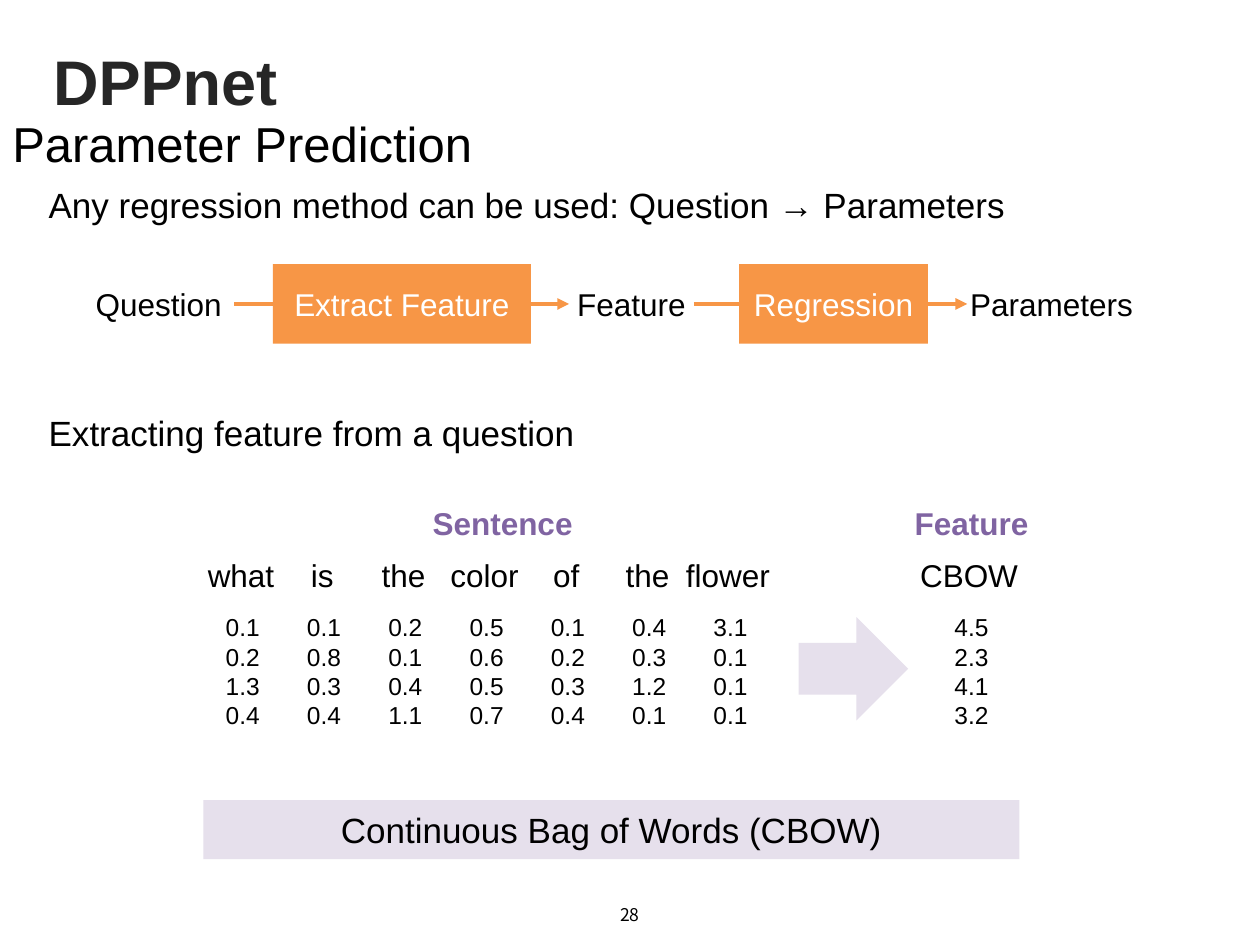
from collections import namedtuple
from dataclasses import dataclass

from lxml.etree import SubElement
from pptx import Presentation
from pptx.dml.color import RGBColor
from pptx.enum.shapes import MSO_CONNECTOR, MSO_SHAPE
from pptx.enum.text import MSO_ANCHOR, MSO_AUTO_SIZE, PP_ALIGN
from pptx.oxml.ns import qn
from pptx.util import Pt

Box = namedtuple("Box", "x y w h")


@dataclass(frozen=True)
class Theme:
    """Colours, fonts and type sizes of the slide."""
    font: str = "Arial"
    number_font: str = "Noto Sans CJK KR"
    ink: str = "000000"
    title_ink: str = "262626"
    white: str = "FFFFFF"
    orange: str = "F79646"
    purple: str = "8064A2"
    lilac: str = "E6E0EC"
    title: int = 36
    subtitle: int = 28
    body: int = 20
    label: int = 18
    value: int = 14
    number: int = 10


T = Theme()
CENTER = PP_ALIGN.CENTER


def write(sp, text, size, color=T.ink, align=PP_ALIGN.LEFT, bold=False,
          font=T.font, anchor=MSO_ANCHOR.MIDDLE):
    """Put formatted text into a shape."""
    tf = sp.text_frame
    tf.text = text
    tf.word_wrap = True
    tf.vertical_anchor = anchor
    for p in tf.paragraphs:
        p.alignment = align
        for r in p.runs:
            r.font.name, r.font.size, r.font.bold = font, Pt(size), bold
            r.font.color.rgb = RGBColor.from_string(color)


def add_text(s, box, text, size, inset=True, **style):
    """Add a text box, with or without insets."""
    sp = s.shapes.add_textbox(*map(Pt, box))
    write(sp, text, size, **style)
    if not inset:
        tf = sp.text_frame
        tf.margin_left = tf.margin_top = tf.margin_right = tf.margin_bottom = 0
    return sp


def add_fitted(s, box, text, size, inset=True):
    """Add an unwrapped text box that fits its text."""
    sp = add_text(s, box, text, size, inset, anchor=MSO_ANCHOR.TOP)
    sp.text_frame.word_wrap = False
    sp.text_frame.auto_size = MSO_AUTO_SIZE.SHAPE_TO_FIT_TEXT


def add_block(s, kind, box, fill):
    """Add a flat filled shape."""
    sp = s.shapes.add_shape(kind, *map(Pt, box))
    sp.shadow.inherit = False
    sp.fill.solid()
    sp.fill.fore_color.rgb = RGBColor.from_string(fill)
    sp.line.fill.background()
    return sp


def add_arrow(s, start, end):
    """Join two shapes with an arrow behind everything else."""
    c = s.shapes.add_connector(MSO_CONNECTOR.STRAIGHT, 0, 0, 0, 0)
    c.begin_connect(start, 3)
    c.end_connect(end, 1)
    c.line.width = Pt(2.25)
    c.line.color.rgb = RGBColor.from_string(T.orange)
    props = c._element.spPr
    SubElement(props.find(qn("a:ln")), qn("a:tailEnd"), type="triangle")
    SubElement(props, qn("a:effectLst"))
    s.shapes._spTree.insert(2, c._element)


def add_heading(s, box):
    """Place the title and the subtitle line."""
    sp = s.shapes.title
    sp.left, sp.top = Pt(box.x + 23.2), Pt(box.y)
    sp.width, sp.height = Pt(box.w - 44.6), Pt(51.8)
    write(sp, "DPPnet", T.title, T.title_ink, bold=True)
    add_text(s, Box(box.x, box.y + 37.8, box.w, 47.5), "Parameter Prediction", T.subtitle)


def add_pipeline(s, box):
    """Place the question-to-parameters flow."""
    steps = [("Question", 0, 86.4, False), ("Extract Feature", 108.5, 147.4, True),
             ("Feature", 277.7, 71.3, False), ("Regression", 374.9, 107.9, True),
             ("Parameters", 505.2, 96.5, False)]
    ends = []
    for text, dx, w, filled in steps:
        place = Box(box.x + dx, box.y, w, box.h)
        if filled:
            sp = add_block(s, MSO_SHAPE.RECTANGLE, place, T.orange)
            write(sp, text, T.label, T.white, CENTER)
        else:
            ends.append(add_text(s, place, text, T.label, inset=False, align=CENTER))
    for start, end in zip(ends, ends[1:]):
        add_arrow(s, start, end)


def add_vector(s, center, top, label, width, values):
    """Place a word above its column of values."""
    add_fitted(s, Box(center - width / 2, top, width, 29), label, T.label)
    add_fitted(s, Box(center - 8.9, top + 35.8, 19.5, 68), "\n".join(values.split()),
               T.value, inset=False)


def add_example(s, box):
    """Place the sentence vectors, the arrow, the feature and the caption."""
    words = [("what", 52.5, "0.1 0.2 1.3 0.4"), ("is", 27.5, "0.1 0.8 0.3 0.4"),
             ("the", 39.5, "0.2 0.1 0.4 1.1"), ("color", 54, "0.5 0.6 0.5 0.7"),
             ("of", 29.5, "0.1 0.2 0.3 0.4"), ("the", 39.5, "0.4 0.3 1.2 0.1"),
             ("flower", 63.5, "3.1 0.1 0.1 0.1")]
    first, pitch, feature = box.x + 21.7, 46.45, box.x + 438.1
    for text, x in (("Sentence", box.x + 103.3), ("Feature", box.x + 371.3)):
        add_text(s, Box(x, box.y, 135.4, 17.3), text, T.label,
                 color=T.purple, align=CENTER, bold=True)
    for i, word in enumerate(words):
        add_vector(s, first + i * pitch, box.y + 23.8, *word)
    add_vector(s, feature, box.y + 23.8, "CBOW", 71.3, "4.5 2.3 4.1 3.2")
    add_block(s, MSO_SHAPE.RIGHT_ARROW, Box(box.x + 340.2, box.y + 62.5, 62.5, 59), T.lilac)
    bar = add_block(s, MSO_SHAPE.RECTANGLE,
                    Box(box.x, box.y + box.h - 33.8, box.w, 33.8), T.lilac)
    write(bar, "Continuous Bag of Words (CBOW)", T.body, align=CENTER)


def add_page_number(s, box):
    """Place the page number."""
    add_text(s, box, "28", T.number, align=CENTER, font=T.number_font)


def main():
    """Build and save the slide."""
    prs = Presentation()
    prs.slide_width, prs.slide_height = Pt(720), Pt(540)
    s = prs.slides.add_slide(prs.slide_layouts[5])
    add_heading(s, Box(0, 20.2, 720, 85))
    for y, text in ((100, "Any regression method can be used: Question → Parameters"),
                    (230.4, "Extracting feature from a question")):
        add_text(s, Box(20.7, y, 699.1, 33.8), text, T.body)
    add_pipeline(s, Box(47.5, 151, 602, 45.4))
    add_example(s, Box(116.2, 290.2, 466.4, 200.8))
    add_page_number(s, Box(276.1, 508.3, 167.8, 28.8))
    prs.save("out.pptx")


if __name__ == "__main__":
    main()
